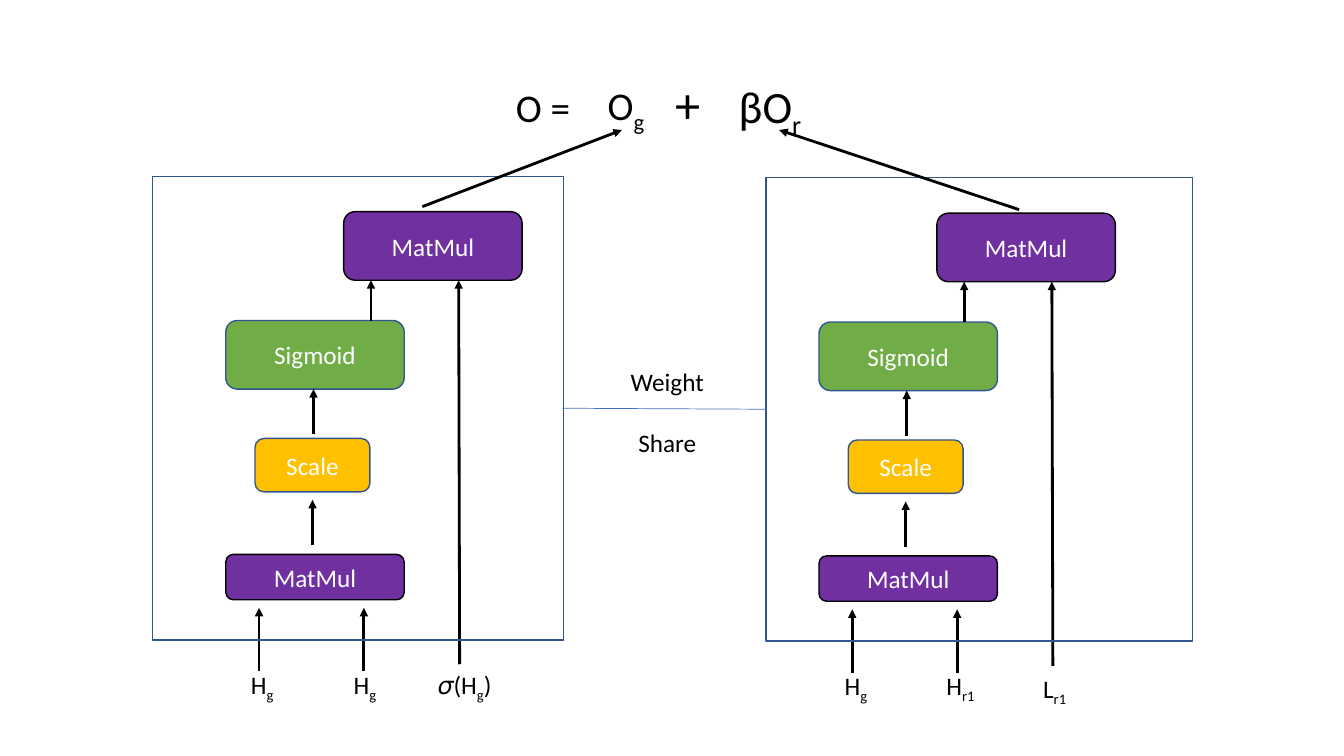
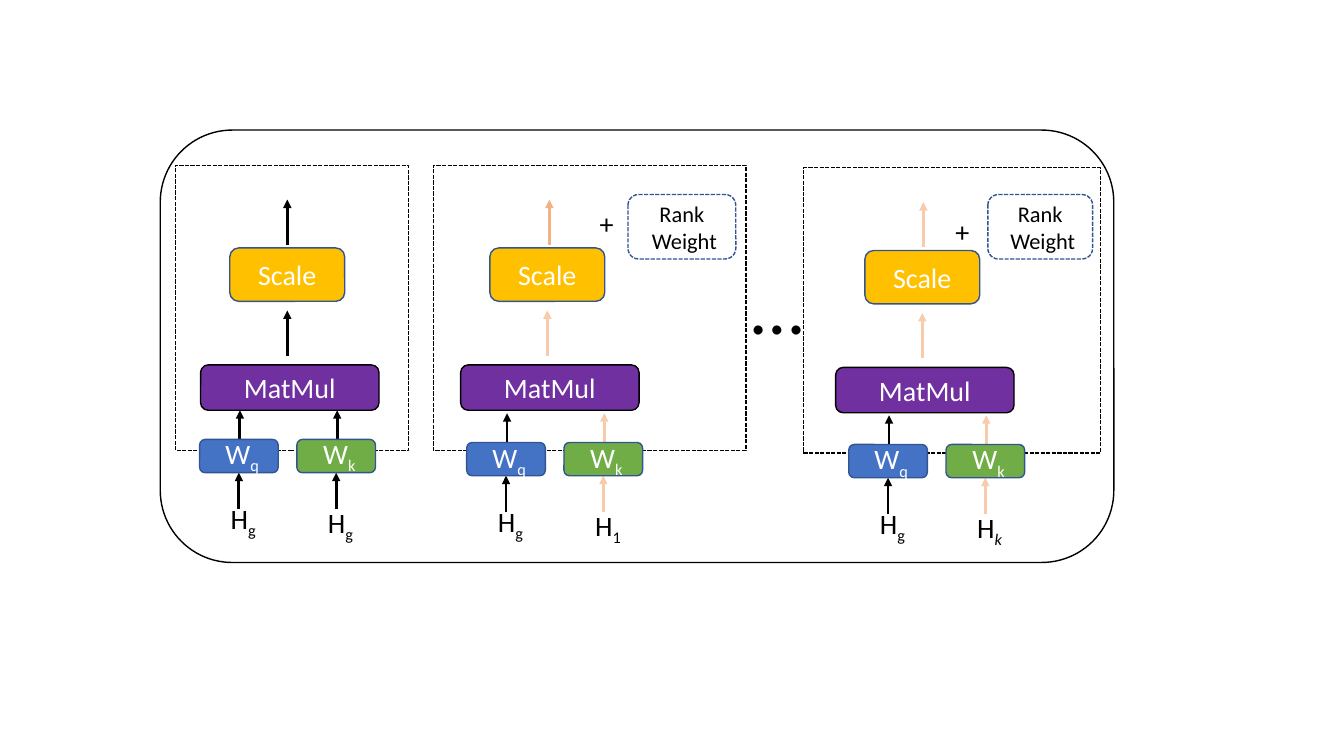
from lxml import etree
from pptx import Presentation
from pptx import util as u
from pptx.dml.color import RGBColor
from pptx.enum import dml, shapes, text
from pptx.oxml import ns

CELL = u.Inches(0.1)
COLS, ROWS = 133.33, 75
FONT = "Calibri"
BLACK, WHITE = "000000", "FFFFFF"
PURPLE, GREEN, GOLD, BLUE = "7030A0", "70AD47", "FFC000", "4472C4"
OUTLINE, PEACH, ORANGE = "325491", "F8CBAD", "F4B183"
RECT, ROUND = shapes.MSO_SHAPE.RECTANGLE, shapes.MSO_SHAPE.ROUNDED_RECTANGLE
LEFT, CENTER = text.PP_ALIGN.LEFT, text.PP_ALIGN.CENTER


def rgb(value):
    return RGBColor.from_string(value)


def grid(*cells):
    return [u.Emu(round(c * CELL)) for c in cells]


def write(tf, lines, size, color, align, gap=0):
    for i, line in enumerate(lines.split("\n")):
        p = tf.paragraphs[0] if i == 0 else tf.add_paragraph()
        p.alignment = align
        if i:
            p.space_before = u.Pt(gap)
        for n, part in enumerate(line.split("_")):
            if not part:
                continue
            r = p.add_run()
            r.text = part.lstrip("*")
            style = {"name": FONT, "size": u.Pt(size), "italic": part.startswith("*")}
            for key, value in style.items():
                setattr(r.font, key, value)
            r.font.color.rgb = rgb(color)
            if n % 2:
                r.font._element.set("baseline", "-25000")


def add_box(s, at, fill=None, line=OUTLINE, label="", size=18, color=WHITE,
            kind=ROUND, dashed=False):
    sp = s.shapes.add_shape(kind, *grid(*at))
    sp.shadow.inherit = False
    if fill:
        sp.fill.solid()
        sp.fill.fore_color.rgb = rgb(fill)
    else:
        sp.fill.background()
    sp.line.color.rgb = rgb(line)
    sp.line.width = u.Pt(1)
    if dashed:
        sp.line.dash_style = dml.MSO_LINE.SQUARE_DOT
    if label:
        sp.text_frame.vertical_anchor = text.MSO_ANCHOR.MIDDLE
        write(sp.text_frame, label, size, color, CENTER)


def add_label(s, at, label, size=18, align=LEFT, gap=0):
    tf = s.shapes.add_textbox(*grid(*at)).text_frame
    for key, value in {"word_wrap": True,
                       "auto_size": text.MSO_AUTO_SIZE.SHAPE_TO_FIT_TEXT}.items():
        setattr(tf, key, value)
    write(tf, label, size, BLACK, align, gap)


def add_line(s, x1, y1, x2, y2, color=BLACK, width=2, arrow=True):
    c = s.shapes.add_connector(shapes.MSO_CONNECTOR.STRAIGHT, *grid(x1, y1, x2, y2))
    c.line.color.rgb = rgb(color)
    c.line.width = u.Pt(width)
    pr = c._element.spPr
    if arrow:
        etree.SubElement(pr.get_or_add_ln(), ns.qn("a:tailEnd"), type="triangle")
    etree.SubElement(pr, ns.qn("a:effectLst"))


def add_branch(s, dx, dy, frame, inputs):
    blocks = [("MatMul", 34.1, 21, 17.7, 6.8, PURPLE, BLACK),
              ("Sigmoid", 22.4, 31.8, 17.7, 6.8, GREEN, OUTLINE),
              ("Scale", 25.3, 43.5, 11.4, 5.3, GOLD, OUTLINE),
              ("MatMul", 22.4, 55, 17.7, 4.5, PURPLE, BLACK)]
    for label, x, y, w, h, fill, line in blocks:
        add_box(s, (x + dx, y + dy, w, h), fill, line, label)
    for label, x, y in inputs:
        add_label(s, (x, y, 10.2, 4), label)
    arrows = [(25.7, 66.6, 25.7, 60.3), (36.1, 66.6, 36.1, 60.3),
              (31, 54.1, 31, 49.6), (31.1, 43.1, 31.1, 38.6),
              (36.8, 31.8, 36.8, 27.8), (45.6, 65.9, 45.5, 27.8)]
    for x1, y1, x2, y2 in arrows:
        add_line(s, x1 + dx, y1 + dy, x2 + dx, y2 + dy)
    add_box(s, frame, kind=RECT)


def add_head(s, dx, dy, frame, top_x, low_color, top_color):
    add_box(s, (22.8 + dx, 24.6 + dy, 11.4, 5.3), GOLD, label="Scale", size=20)
    add_box(s, (19.9 + dx, 36.2 + dy, 17.7, 4.5), PURPLE, BLACK, "MatMul", 20)
    for x, y, color in [(28.5, 35.3, low_color), (top_x, 24.3, top_color)]:
        add_line(s, x + dx, y + dy, x + dx, y + dy - 4.5, color)
    x, width = frame
    add_box(s, (x, 16.4 + dy, width, 28.3), line=BLACK, kind=RECT, dashed=True)


def add_weights(s, x, y, second, color):
    columns = [(" W_q", "H_g", BLUE, BLACK), (" W_k", second, GREEN, color)]
    for i, (weight, source, fill, arrow) in enumerate(columns):
        left = x + 9.65 * i
        add_label(s, (left + 2.1, y + 5.65 + 0.4 * i, 10.2, 4.4), source, 20)
        add_line(s, left + 3.9, y + 6.9, left + 3.9, y + 3.3, arrow)
        add_line(s, left + 4, y, left + 4, y - 2.9, arrow)
        add_box(s, (left, y, 7.8, 3.3), fill, label=weight, size=20)


def add_rank(s, x, width, plus_x, plus_y):
    add_box(s, (x, 19.3, width, 6.4), label="Rank\n Weight", size=16,
            color=BLACK, dashed=True)
    add_label(s, (plus_x, plus_y, 4.1, 4.4), "+", 20)


def build_attention(s):
    add_branch(s, 0, 0, (15.1, 17.5, 40.8, 46),
               [("H_g", 23.9, 65.9), ("𝜎(H_g_)", 42.5, 65.9), ("H_g", 34.1, 65.9)])
    add_branch(s, 58.85, 0.15, (76, 17.6, 42.3, 46),
               [("H_g", 82.8, 66), ("H_r1", 92.9, 66), ("L_r1", 102.5, 66.3)])
    add_line(s, 55.8, 40.5, 76, 40.6, BLUE, 0.5, False)
    add_label(s, (60.1, 35.8, 12.2, 10.1), "Weight\nShare", align=CENTER, gap=22)
    add_line(s, 41.9, 20.5, 61.7, 12.9)
    add_line(s, 101.1, 20.8, 77.3, 12.9)
    formula = [("O =", 50.2, 7.8, 10.2, 5.7, 28), ("O_g", 59.3, 7.6, 10.2, 5.7, 28),
               ("+", 66, 6.8, 4.5, 7.1, 36), ("βO_r", 72.3, 7.3, 10.2, 6.4, 32)]
    for label, x, y, w, h, size in formula:
        add_label(s, (x, y, w, h), label, size)


def build_heads(s):
    add_box(s, (15.9, 12.9, 94.6, 42.9), WHITE, BLACK)
    heads = [(0, 0, (17.4, 23.1), 28.5, BLACK, BLACK),
             (25.8, 0, (43, 31), 28.7, PEACH, ORANGE),
             (63, 0.25, (79.7, 29.5), 28.6, PEACH, PEACH)]
    for head in heads:
        add_head(s, *head)
    add_label(s, (73.6, 25.2, 11.4, 10.1), "…", 54)
    add_rank(s, 62.3, 10.7, 58.5, 20)
    add_rank(s, 98, 10.4, 93.8, 20.8)
    weights = [(19.8, 43.6, "H_g", BLACK), (46.3, 43.9, "H_1", PEACH),
               (84.2, 44.1, "H_*k", PEACH)]
    for pair in weights:
        add_weights(s, *pair)


def main():
    prs = Presentation()
    prs.slide_width, prs.slide_height = grid(COLS, ROWS)
    for build in (build_attention, build_heads):
        build(prs.slides.add_slide(prs.slide_layouts[6]))
    prs.save("out.pptx")


main()
